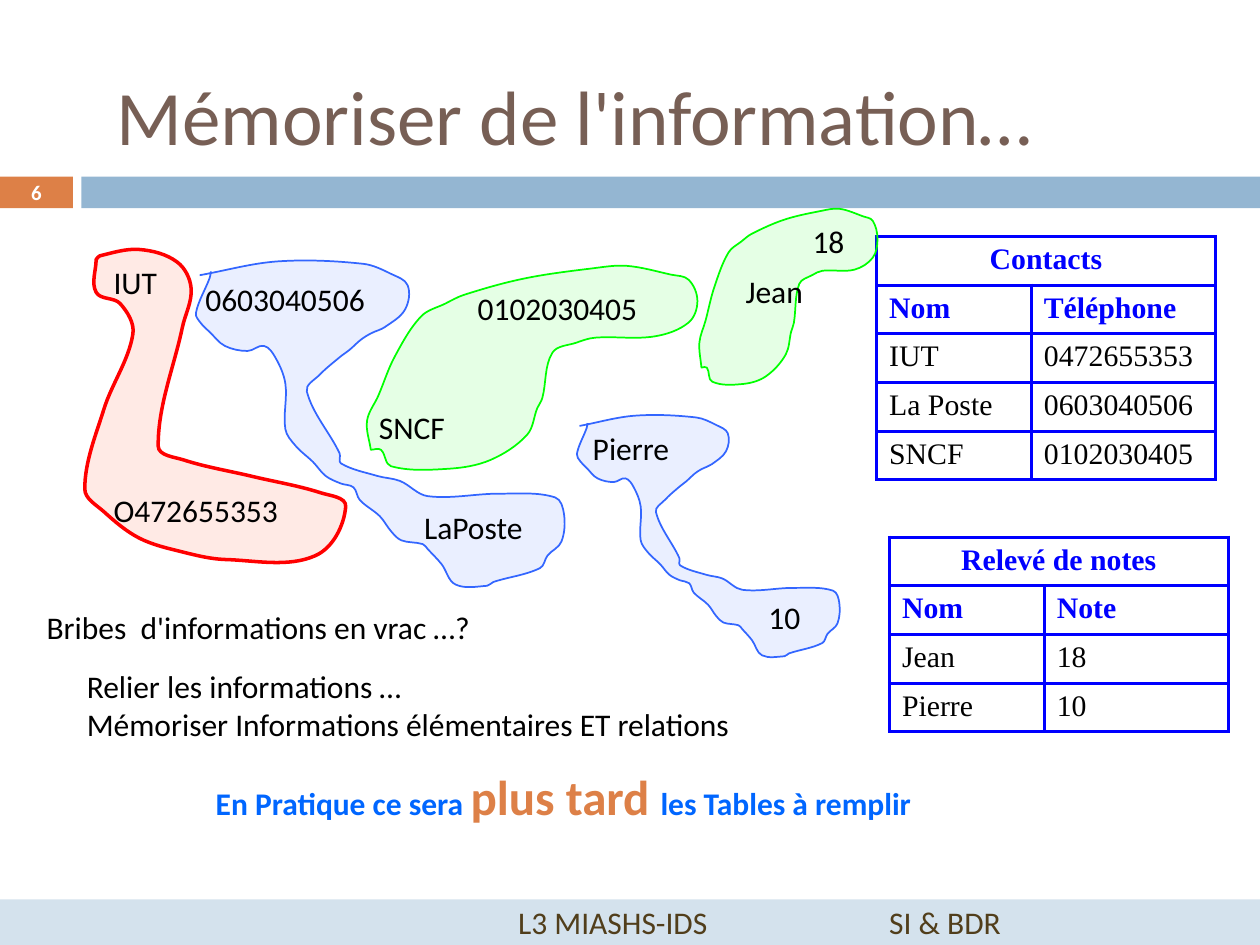
from math import dist

from lxml import etree
from pptx import Presentation
from pptx.dml.color import RGBColor
from pptx.enum.shapes import MSO_SHAPE
from pptx.enum.text import MSO_ANCHOR, MSO_AUTO_SIZE, PP_ALIGN
from pptx.oxml.ns import qn
from pptx.util import Cm, Pt

RECTANGLE = MSO_SHAPE.RECTANGLE
MIDDLE = MSO_ANCHOR.MIDDLE
NO_AUTOFIT = MSO_AUTO_SIZE.NONE
LEFT, CENTER = PP_ALIGN.LEFT, PP_ALIGN.CENTER
TITLE_ONLY = 5
colour = RGBColor.from_string

BODY = {"name": "Calibri", "size": Pt(18)}
CELL = {"name": "Times New Roman", "size": Pt(17)}


def write(para, text, hex_colour, formats):
    """Add text to a paragraph, with line breaks where it has newlines."""
    for index, line in enumerate(text.split("\n")):
        if index:
            para.add_line_break()
        span = para.add_run()
        span.text = line
        span.font.color.rgb = colour(hex_colour)
        for name, value in formats.items():
            setattr(span.font, name, value)


def bend_lines(blob, closed):
    """Turn the straight segments of a freeform into smooth Bézier curves."""
    nodes = list(blob.element.iter(qn("a:pt")))
    points = [(int(node.get("x")), int(node.get("y"))) for node in nodes]
    count = len(points)
    directions = []
    for index in range(count):
        before = points[index - 1] if closed or index else points[0]
        after = points[(index + 1) % count] if closed or index + 1 < count else points[-1]
        length = dist(before, after) or 1
        directions.append([(b - a) / length for a, b in zip(before, after)])
    for index in range(1, count):
        start, end = points[index - 1], points[index]
        reach = dist(start, end) / 3
        first = [p + d * reach for p, d in zip(start, directions[index - 1])]
        second = [p - d * reach for p, d in zip(end, directions[index])]
        segment = nodes[index].getparent()
        segment.tag = qn("a:cubicBezTo")
        for position, (x, y) in enumerate((first, second)):
            control = etree.Element(qn("a:pt"), x=str(round(x)), y=str(round(y)))
            segment.insert(position, control)


deck = Presentation()
deck.slide_width, deck.slide_height = Cm(25.4), Cm(19.05)
page = deck.slides.add_slide(deck.slide_layouts[TITLE_ONLY])

# Title
title = page.shapes.title
title.left, title.top, title.width, title.height = Cm(2.1), Cm(0.72), Cm(21.59), Cm(3.18)
title.text_frame.vertical_anchor = MIDDLE
title.text_frame.auto_size = NO_AUTOFIT
title_para = title.text_frame.paragraphs[0]
title_para.alignment = LEFT
write(title_para, "Mémoriser de l'information…", "775F55", {"name": "Calibri", "size": Pt(44)})

# Bars under the title and at the foot
bars = [
    (0, 3.56, 1.47, 0.64, "DD8047"),
    (1.64, 3.56, 23.76, 0.64, "94B6D2"),
    (0, 18.13, 25.4, 0.92, "D4E2ED"),
]
for left, top, width, height, fill in bars:
    bar = page.shapes.add_shape(RECTANGLE, Cm(left), Cm(top), Cm(width), Cm(height))
    bar.shadow.inherit = False
    bar.fill.solid()
    bar.fill.fore_color.rgb = colour(fill)
    bar.line.fill.background()
bar.text_frame.vertical_anchor = MIDDLE
footer_para = bar.text_frame.paragraphs[0]
footer_para.alignment = CENTER
tab_stops = etree.SubElement(footer_para._p.get_or_add_pPr(), qn("a:tabLst"))
for number in range(1, 6):
    etree.SubElement(tab_stops, qn("a:tab"), pos=str(Cm(2.54 * number)), algn="l")
write(footer_para, "\t\t L3 MIASHS-IDS\t\tSI & BDR", "513E1B", BODY)

# Tables: a heading across both columns, column names, then the data
tables = [
    (17.67, 4.77, "Contacts", [
        ("Nom", "Téléphone"),
        ("IUT", "0472655353"),
        ("La Poste", "0603040506"),
        ("SNCF", "0102030405"),
    ]),
    (17.93, 10.83, "Relevé de notes", [
        ("Nom", "Note"),
        ("Jean", "18"),
        ("Pierre", "10"),
    ]),
]
row_height = 0.98
for left, top, heading, body_rows in tables:
    rows = [(heading, "")] + body_rows
    table = page.shapes.add_table(
        len(rows), 2, Cm(left), Cm(top), Cm(6.83), Cm(row_height * len(rows))
    ).table
    table.first_row = table.horz_banding = False
    table.columns[0].width, table.columns[1].width = Cm(3.12), Cm(3.71)
    table.cell(0, 0).merge(table.cell(0, 1))
    for row_index, row in enumerate(rows):
        is_header = row_index < 2
        for column_index, text in enumerate(row):
            cell = table.cell(row_index, column_index)
            properties = cell._tc.get_or_add_tcPr()
            for side in ("a:lnL", "a:lnR", "a:lnT", "a:lnB"):
                border = etree.SubElement(properties, qn(side), w=str(Pt(2)))
                border_fill = etree.SubElement(border, qn("a:solidFill"))
                etree.SubElement(border_fill, qn("a:srgbClr"), val="0000FF")
            cell.fill.background()
            if text:
                para = cell.text_frame.paragraphs[0]
                para.alignment = LEFT if row_index else CENTER
                write(para, text, "0000FF" if is_header else "000000", CELL | {"bold": is_header})

# Blobs that tie a name to its value; each outline is stretched to its box
boot = [
    (76, 206), (76, 232), (95, 241), (105, 265), (82, 325), (67, 388), (82, 406),
    (110, 427), (144, 438), (178, 444), (249, 441), (273, 402), (253, 391), (199, 378),
    (145, 365), (125, 354), (144, 260), (151, 229), (140, 208), (110, 198), (79, 203),
]
funnel = [
    (159, 219), (221, 208), (289, 210), (311, 218), (324, 227), (322, 246), (306, 260),
    (295, 265), (287, 270), (278, 278), (270, 284), (254, 298), (244, 311), (270, 360),
    (271, 368), (300, 378), (318, 382), (340, 394), (398, 392), (441, 395), (448, 408),
    (446, 430), (435, 441), (429, 451), (392, 462), (387, 465), (362, 464), (351, 448),
    (340, 436), (336, 432), (319, 429), (311, 422), (302, 410), (286, 397), (281, 387),
    (271, 384), (259, 378), (249, 367), (235, 354), (227, 341), (227, 305), (219, 284),
    (210, 275), (197, 279), (179, 275), (167, 264), (160, 257), (156, 249), (167, 221),
    (168, 216),
]
bean = [
    (295, 357), (292, 334), (301, 314), (314, 283), (335, 251), (354, 241), (369, 234),
    (417, 221), (471, 213), (498, 211), (533, 218), (547, 222), (554, 239), (547, 256),
    (520, 267), (473, 268), (458, 272), (439, 280), (431, 316), (427, 324), (419, 345),
    (390, 365), (357, 372), (311, 370), (303, 357),
]
blobs = [
    (funnel, False, 3.95, 5.27, 7.42, 6.54, "3366FF", "3366FF", 1),
    (boot, True, 1.71, 5.03, 5.26, 6.25, "FF3300", "FF0000", 2),
    (bean, True, 7.4, 5.36, 6.66, 4.09, "00FF00", "00FF00", 1),
    (funnel, False, 11.63, 8.38, 5.29, 4.85, "3366FF", "3366FF", 1),
    (bean, True, 14.1, 4.21, 3.59, 3.53, "00FF00", "00FF00", 1),
]
for outline, closed, left, top, width, height, fill, line, line_width in blobs:
    xs, ys = zip(*outline)
    x_unit = width / (max(xs) - min(xs))
    y_unit = height / (max(ys) - min(ys))
    points = [
        (Cm(left + (x - min(xs)) * x_unit), Cm(top + (y - min(ys)) * y_unit)) for x, y in outline
    ]
    if closed:
        points.append(points[0])
    builder = page.shapes.build_freeform(*points[0])
    builder.add_line_segments(points[1:], close=closed)
    blob = builder.convert_to_shape()
    bend_lines(blob, closed)
    blob.shadow.inherit = False
    blob.fill.solid()
    blob.fill.fore_color.rgb = colour(fill)
    fill_colour = blob.element.spPr.find(qn("a:solidFill")).find(qn("a:srgbClr"))
    etree.SubElement(fill_colour, qn("a:alpha"), val="10000")
    blob.line.color.rgb = colour(line)
    blob.line.width = Pt(line_width)

# Labels and remarks
labels = [
    (8.3, 10.12, 2.97, 1.02, "LaPoste"),
    (2.04, 5.17, 1.63, 1.02, "IUT"),
    (2.04, 9.78, 4.67, 1.02, "O472655353"),
    (3.89, 5.53, 4.57, 1.02, "0603040506"),
    (7.39, 8.1, 2.24, 1.02, "SNCF"),
    (9.38, 5.7, 4.57, 1.02, "0102030405"),
    (15.24, 11.94, 1.32, 1.02, "10"),
    (16.13, 4.35, 1.32, 1.02, "18"),
    (14.78, 5.36, 1.96, 1.02, "Jean"),
    (11.7, 8.53, 2.36, 1.02, "Pierre"),
    (0.69, 12.13, 11.2, 1.02, "Bribes  d'informations en vrac …?"),
    (1.5, 13.33, 16.48, 1.78,
     "Relier les informations …\nMémoriser Informations élémentaires ET relations"),
]
black_labels = [(*box, [(text, "000000", BODY)]) for *box, text in labels]
bold = BODY | {"bold": True}
conclusion = (4.1, 15.32, 19.94, 1.45, [
    ("En Pratique ce sera ", "0066FF", bold),
    ("plus tard ", "DD8047", bold | {"size": Pt(28)}),
    ("les Tables à remplir", "0066FF", bold),
])
page_number = (0, 3.53, 1.47, 0.69, [("6", "FFFFFF", bold | {"size": Pt(11.9)})])
for left, top, width, height, spans in black_labels + [conclusion, page_number]:
    box = page.shapes.add_textbox(Cm(left), Cm(top), Cm(width), Cm(height))
    box.text_frame.word_wrap = True
    for span in spans:
        write(box.text_frame.paragraphs[0], *span)
box.text_frame.vertical_anchor = MIDDLE
box.text_frame.paragraphs[0].alignment = CENTER

deck.save("out.pptx")
